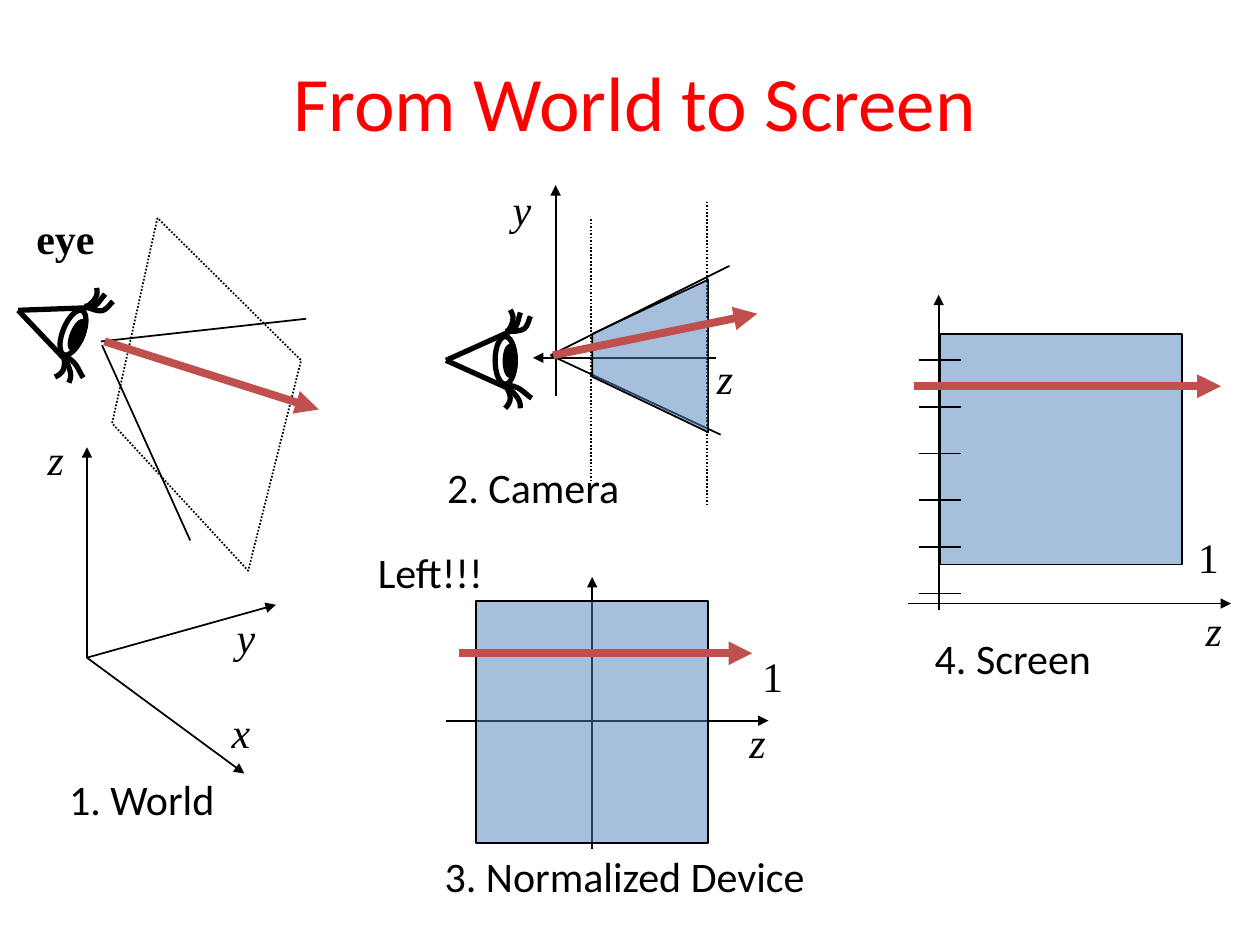
from dataclasses import dataclass
from math import cos, radians, sin

from pptx import Presentation, util as u
from pptx.dml.color import RGBColor
from pptx.enum import dml, shapes, text
from pptx.oxml.ns import qn
from lxml import etree

COLORS = {"ink": "000000", "title": "FF0000", "volume": "4F81BD",
          "ray": "C0504D", "white": "FFFFFF"}
COLUMNS, ROWS = 100, 75
CELL = u.Inches(10) / COLUMNS
SYMBOL = {"name": "Times New Roman", "italic": True}
NUMBER = {"name": "Times New Roman"}
STRONG = {"name": "Times New Roman", "bold": True}
CAPTION = {"name": "Calibri"}

# Eyelashes as chained Bezier curves, in cells from the middle of the eye
LASHES = [
    [(1.3, -2.2), (1.6, -2.2), (1.9, -2.3), (2.1, -2.5), (2.3, -2.8), (2.4, -3.4), (2.5, -3.7)],
    [(1.7, -2.2), (1.9, -2.2), (2.5, -2.2), (2.8, -2.4), (3.1, -2.6), (3.2, -3.2), (3.3, -3.4)],
    [(1.3, 2), (1.8, 2.1), (2.2, 2.2), (2.5, 2.4), (2.8, 2.6), (3.2, 3), (3.4, 3.1)],
    [(1.3, 2), (1.5, 2.2), (2.1, 2.8), (2.3, 3.1), (2.5, 3.4), (2.5, 3.7), (2.5, 3.9)],
    [(1.3, 2), (1.5, 2.4), (1.7, 2.8), (1.7, 3.1), (1.7, 3.4), (1.5, 3.7), (1.3, 3.9)],
    [(1.5, -2.2), (1.6, -2.3), (1.9, -2.8), (1.9, -3.1), (2, -3.4), (1.8, -3.7), (1.7, -3.9)],
]


@dataclass
class Box:
    """A region of the grid; turn rotates its points about its corner."""
    left: float
    top: float
    width: float = 0
    height: float = 0
    turn: float = 0

    def at(self, x, y):
        c, s = cos(radians(self.turn)), sin(radians(self.turn))
        return (round((self.left + x * c - y * s) * CELL),
                round((self.top + x * s + y * c) * CELL))


def cells(count):
    return round(count * CELL)


def rgb(name):
    return RGBColor.from_string(COLORS[name])


def style_line(line, color="ink", width=1, dotted=False):
    line.color.rgb = rgb(color)
    line.width = u.Pt(width)
    if dotted:
        line.dash_style = dml.MSO_LINE.ROUND_DOT


def style_shape(shape, fill=None, alpha=None, **line):
    shape.shadow.inherit = False
    if fill:
        shape.fill.solid()
        shape.fill.fore_color.rgb = rgb(fill)
    else:
        shape.fill.background()
    if alpha:
        color = shape._element.spPr.find(".//" + qn("a:srgbClr"))
        etree.SubElement(color, qn("a:alpha"), val=str(alpha * 1000))
    style_line(shape.line, **line)


def segment(slide, box, start, end, arrow=False, **line):
    connector = slide.shapes.add_connector(
        shapes.MSO_CONNECTOR.STRAIGHT, *box.at(*start), *box.at(*end))
    style_line(connector.line, **line)
    properties = connector._element.spPr
    if arrow:
        etree.SubElement(properties.find(qn("a:ln")), qn("a:tailEnd"), type="triangle")
    etree.SubElement(properties, qn("a:effectLst"))


def axis(slide, box, start, end):
    segment(slide, box, start, end, arrow=True)


def ray(slide, box, start, end):
    segment(slide, box, start, end, arrow=True, color="ray", width=4.5)


def outline(slide, box, points, closed=True, **style):
    first, *rest = [box.at(*point) for point in points]
    builder = slide.shapes.build_freeform(*first)
    builder.add_line_segments(rest, close=closed)
    shape = builder.convert_to_shape()
    style_shape(shape, **style)
    return shape


def label(slide, box, place, words, font, width=3.5, height=5, size=24,
          color="ink", align=text.PP_ALIGN.LEFT):
    area = slide.shapes.add_textbox(*box.at(*place), cells(width), cells(height))
    frame = area.text_frame
    frame.word_wrap = False
    frame.vertical_anchor = text.MSO_ANCHOR.MIDDLE
    paragraph = frame.paragraphs[0]
    paragraph.text, paragraph.alignment = words, align
    for key, value in {"size": u.Pt(size), **font}.items():
        setattr(paragraph.font, key, value)
    paragraph.font.color.rgb = rgb(color)


def rotate_about(shape, box, middle):
    """Centre the shape on a point of a turned box and rotate it alike."""
    x, y = box.at(*middle)
    shape.left, shape.top = x - shape.width // 2, y - shape.height // 2
    shape.rotation = box.turn


def eyelash(slide, box, controls):
    lash = outline(slide, Box(box.left, box.top), controls, closed=False, width=3)
    corners = list(lash._element.iter(qn("a:lnTo")))
    for first in range(0, len(corners), 3):
        bend = etree.Element(qn("a:cubicBezTo"))
        corners[first].addprevious(bend)
        for corner in corners[first:first + 3]:
            bend.append(corner[0])
            corner.getparent().remove(corner)
    rotate_about(lash, box, [(min(axis_values) + max(axis_values)) / 2
                             for axis_values in zip(*controls)])


def eye(slide, box):
    """Eye in side view around the corner of the box."""
    for lid_end in ((1.7, -2.2), (1.7, 2.4)):
        segment(slide, box, (-3.4, 0.1), lid_end, width=3)
    for middle, width, height, fill in (((1.3, 0.1), 1.6, 3.8, "white"),
                                        ((1.7, 0.15), 0.8, 2.3, "ink")):
        disc = slide.shapes.add_shape(shapes.MSO_SHAPE.OVAL, 0, 0,
                                      cells(width), cells(height))
        rotate_about(disc, box, middle)
        style_shape(disc, fill=fill, width=3)
    for lash in LASHES:
        eyelash(slide, box, lash)


def world(slide, box):
    origin = (5.9, 36.2)
    for end, name, place in (((5.9, 19.5), "z", (1.8, 17.9)),
                             ((18.4, 45.4), "x", (16.4, 39.6)),
                             ((20.9, 32), "y", (16.8, 32))):
        axis(slide, box, origin, end)
        label(slide, box, place, name, SYMBOL)
    segment(slide, box, (7, 11.1), (23.3, 9.3))
    segment(slide, box, (7.1, 11.4), (14.1, 26.9))
    outline(slide, box, [(11.5, 1.3), (7.9, 17.6), (18.7, 29.3), (22.9, 12.6)], dotted=True)
    ray(slide, box, (7.3, 11.1), (24.3, 16.5))
    eye(slide, Box(box.left + 3.63, box.top + 9.82, turn=22.2))
    label(slide, box, (0.9, 0.4), "eye", STRONG, 6.6)
    label(slide, box, (3.5, 44.9), "1. World", CAPTION, 13.7)


def camera(slide, box):
    apex = (9.7, 14.2)
    axis(slide, box, (22.8, 14.4), (8.3, 14.4))
    axis(slide, box, (10.1, 17.4), (10.1, 0.7))
    for edge_end in ((23.9, 7.1), (23.2, 20.5)):
        segment(slide, box, apex, edge_end)
    for x, top, bottom in ((12.9, 3.4, 24.2), (22.1, 2, 26.2)):
        segment(slide, box, (x, top), (x, bottom), dotted=True)
    outline(slide, box, [(13, 15.9), (22.2, 20.3), (22.2, 8.2), (13, 12.5)],
            fill="volume", alpha=50)
    ray(slide, box, (9.9, 14.2), (26.1, 10.9))
    eye(slide, Box(box.left + 4.8, box.top + 14.5))
    label(slide, box, (21.9, 13.5), "z", SYMBOL)
    label(slide, box, (5.7, 0.1), "y", SYMBOL)
    label(slide, box, (0.5, 22.1), "2. Camera", CAPTION, 15.8)


def device(slide, box, origin, rise, run, ray_run, one, z, caption):
    """Rectangular view volume with its axes, ray and labels."""
    x, y = origin
    axis(slide, box, (x, rise[0]), (x, rise[1]))
    axis(slide, box, (run[0], y), (run[1], y))
    volume = slide.shapes.add_shape(shapes.MSO_SHAPE.RECTANGLE, *box.at(0, 0),
                                    cells(box.width), cells(box.height))
    style_shape(volume, fill="volume", alpha=50)
    ray(slide, box, (ray_run[0], 4.15), (ray_run[1], 4.15))
    label(slide, box, one, "1", NUMBER, 3.7)
    label(slide, box, z, "z", SYMBOL, 3.3)
    place, words, width = caption
    label(slide, box, place, words, CAPTION, width)


def normalized_device(slide, box):
    device(slide, box, (box.width / 2, box.height / 2 - 0.1), (19.7, -1.9),
           run=(-2.4, 23.2), ray_run=(-1.4, 21.9), one=(21.7, 3.4), z=(20.7, 8.7),
           caption=((-3.5, 19.3), "3. Normalized Device", 38.1))
    label(slide, box, (-8.8, -4.8), "Left!!!", CAPTION, 10.6)


def screen(slide, box):
    device(slide, box, (-0.1, 21.4), (21.9, -3.1),
           run=(-2.5, 23.1), ray_run=(-2.1, 22.3), one=(19.5, 15.2), z=(20.1, 21),
           caption=((-1.4, 23.2), "4. Screen", 24.8))
    for tick in range(6):
        y = 2.1 + 3.7 * tick
        segment(slide, box, (-1.7, y), (1.7, y))


def main():
    deck = Presentation()
    deck.slide_width, deck.slide_height = cells(COLUMNS), cells(ROWS)
    slide = deck.slides.add_slide(deck.slide_layouts[6])
    label(slide, Box(7.9, 1.7), (0, 0), "From World to Screen", CAPTION, 85, 12.5,
          size=44, color="title", align=text.PP_ALIGN.CENTER)
    world(slide, Box(1, 16, 25, 50))
    camera(slide, Box(34, 14, 27, 27))
    normalized_device(slide, Box(37.8, 47.7, 18.4, 19.2))
    screen(slide, Box(74.6, 26.5, 19.2, 18.3))
    deck.save("out.pptx")


if __name__ == "__main__":
    main()
